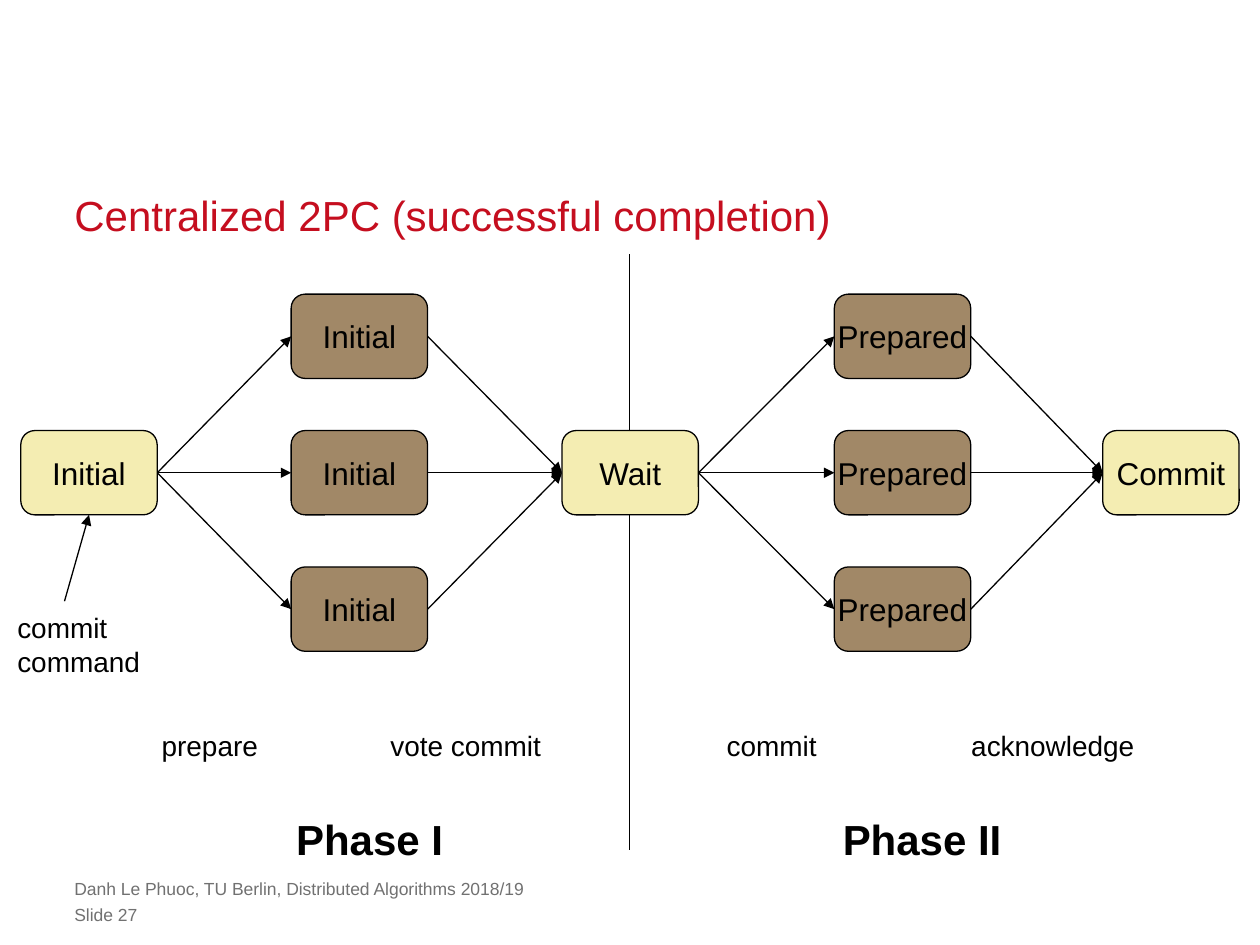
import pptx
import pptx.dml.color
import pptx.enum.shapes
import pptx.enum.text
import pptx.oxml
import pptx.oxml.ns
import pptx.util
from pptx.util import Cm

COLORS = {
    "title": "C50E1F",
    "ink": "000000",
    "coordinator": "F4EDB2",
    "participant": "A18867",
    "footer": "717171",
}
ANCHOR = pptx.enum.text.MSO_ANCHOR
ALIGN = pptx.enum.text.PP_ALIGN


def rgb(name):
    return pptx.dml.color.RGBColor.from_string(COLORS[name])


def write_text(sp, text, size=16, color="ink", bold=False, align=ALIGN.LEFT,
               anchor=ANCHOR.TOP, wrap=False, inset=None, spacing=None):
    tf = sp.text_frame
    tf.word_wrap = wrap
    tf.vertical_anchor = anchor
    if inset is not None:
        tf.margin_left = tf.margin_right = Cm(inset)
        tf.margin_top = tf.margin_bottom = Cm(inset)
    p = tf.paragraphs[0]
    p.alignment = align
    if spacing:
        p.line_spacing = pptx.util.Pt(spacing)
    for i, line in enumerate(text.split("\n")):
        if i:
            p.add_line_break()
        r = p.add_run()
        r.text = line
        r.font.name = "Arial"
        r.font.size = pptx.util.Pt(size)
        r.font.bold = bold
        r.font.color.rgb = rgb(color)


prs = pptx.Presentation()
prs.slide_width, prs.slide_height = Cm(25.4), Cm(19.05)
s = prs.slides.add_slide(prs.slide_layouts[6])

# Title
sp = s.shapes.add_textbox(Cm(1.5), Cm(3.76), Cm(22.4), Cm(1.07))
write_text(sp, "Centralized 2PC (successful completion)", size=24, color="title",
           anchor=ANCHOR.BOTTOM, wrap=True, inset=0, spacing=30)

# Grid of states: left edges of the columns, centres of the rows
box_w, box_h = 2.75, 1.7
columns = [0.42, 5.87, 11.33, 16.82, 22.23]
middle, row_gap = 9.53, 2.75
rows = [middle - row_gap, middle, middle + row_gap]
states = ["Initial", "Initial", "Wait", "Prepared", "Commit"]

# Phase divider, command arrow and messages: x1, y1, x2, y2, arrowhead
lines = [
    (12.69, 5.13, 12.69, 17.13, False),
    (1.3, 12.12, columns[0] + box_w / 2, middle + box_h / 2, True),
]
for i in range(len(columns) - 1):
    x1, x2 = columns[i] + box_w, columns[i + 1]
    for y in rows:
        # Messages fan out from the coordinator, then back in
        y1, y2 = (middle, y) if i % 2 == 0 else (y, middle)
        lines.append((x1, y1, x2, y2, True))

for x1, y1, x2, y2, arrow in lines:
    sp = s.shapes.add_connector(pptx.enum.shapes.MSO_CONNECTOR.STRAIGHT,
                                Cm(x1), Cm(y1), Cm(x2), Cm(y2))
    sp.line.color.rgb = rgb("ink")
    sp.line.width = pptx.util.Pt(0.75)
    if arrow:
        tail = pptx.oxml.ns.qn("a:tailEnd")
        sp.line._get_or_add_ln().append(sp._element.makeelement(tail, {"type": "triangle"}))
    sp_pr = sp._element.spPr
    sp_pr.append(sp_pr.makeelement(pptx.oxml.ns.qn("a:effectLst"), {}))

# State boxes
for i, (x, state) in enumerate(zip(columns, states)):
    role = "participant" if i % 2 else "coordinator"
    for y in rows if role == "participant" else [middle]:
        sp = s.shapes.add_shape(pptx.enum.shapes.MSO_SHAPE.ROUNDED_RECTANGLE,
                                Cm(x), Cm(y - box_h / 2), Cm(box_w), Cm(box_h))
        sp.shadow.inherit = False
        sp.fill.solid()
        sp.fill.fore_color.rgb = rgb(role)
        sp.line.color.rgb = rgb("ink")
        sp.line.width = pptx.util.Pt(0.75)
        write_text(sp, state, size=18, align=ALIGN.CENTER,
                   anchor=ANCHOR.MIDDLE, inset=0)

# Message and phase labels: text, left, top, width, height, format
message, phase = {"size": 16}, {"size": 24, "bold": True}
message_y, phase_y = 14.57, 16.28
labels = [
    ("commit\ncommand", 0.1, 12.19, 3.0, 1.63, message),
    ("prepare", 3.01, message_y, 2.46, 0.94, message),
    ("vote commit", 7.62, message_y, 3.6, 0.94, message),
    ("commit", 14.4, message_y, 2.34, 0.94, message),
    ("acknowledge", 19.33, message_y, 3.9, 0.94, message),
    ("Phase I", 5.72, phase_y, 3.48, 1.27, phase),
    ("Phase II", 16.74, phase_y, 3.71, 1.27, phase),
]
for text, x, y, w, h, style in labels:
    sp = s.shapes.add_textbox(Cm(x), Cm(y), Cm(w), Cm(h))
    write_text(sp, text, **style)
    sp.text_frame.auto_size = pptx.enum.text.MSO_AUTO_SIZE.SHAPE_TO_FIT_TEXT

# Footer
footer = ["Danh Le Phuoc, TU Berlin, Distributed Algorithms 2018/19", "Slide 27"]
for i, text in enumerate(footer):
    sp = s.shapes.add_textbox(Cm(1.5), Cm(17.7 + 0.52 * i), Cm(18.39), Cm(0.43))
    write_text(sp, text, size=10, color="footer", wrap=True, inset=0)

prs.save("out.pptx")
